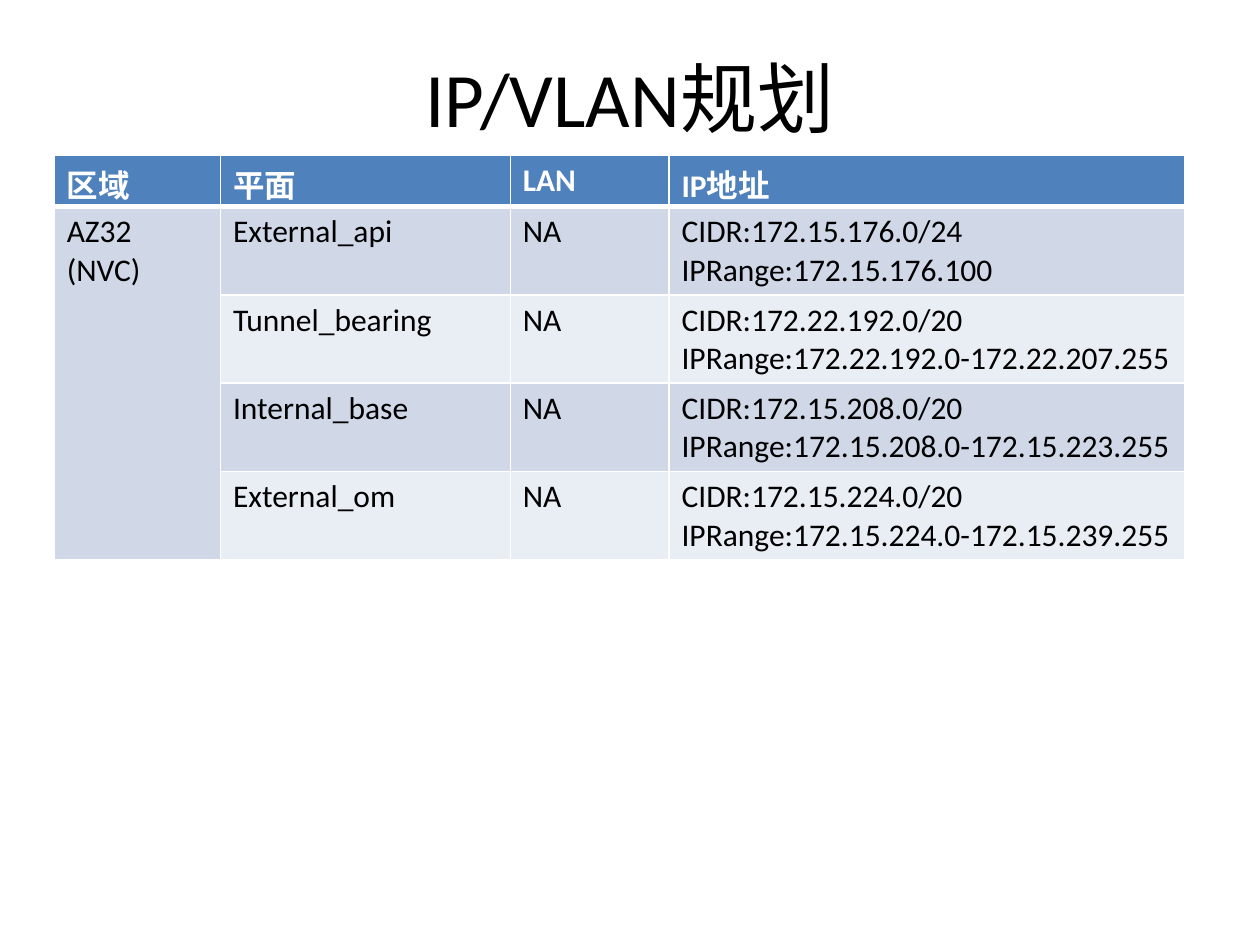
from dataclasses import dataclass

import pptx
import pptx.enum.text
import pptx.oxml
import pptx.oxml.ns
import pptx.slide
import pptx.table
import pptx.text.text
import pptx.util
from pptx.dml.color import RGBColor
from pptx.util import Inches

BLACK = RGBColor(0x00, 0x00, 0x00)
WHITE = RGBColor(0xFF, 0xFF, 0xFF)
HEADER_BLUE = RGBColor(0x4F, 0x81, 0xBD)
BANDS = (RGBColor(0xD0, 0xD8, 0xE8), RGBColor(0xE9, 0xED, 0xF4))
FONT = "Calibri"

HEADINGS = ("区域", "平面", "LAN", "IP地址")
REGION = "AZ32\n(NVC)"
COLUMN_WIDTHS = (1.32, 2.3, 1.26, 4.09)
HEADER_HEIGHT, PLANE_HEIGHT = 0.41, 0.7


@dataclass(frozen=True)
class Plane:
    name: str
    cidr: str
    ip_range: str
    lan: str = "NA"

    def cells(self) -> tuple[str, str, str]:
        return self.name, self.lan, f"CIDR:{self.cidr}\nIPRange:{self.ip_range}"


PLANES = (
    Plane("External_api", "172.15.176.0/24", "172.15.176.100"),
    Plane("Tunnel_bearing", "172.22.192.0/20", "172.22.192.0-172.22.207.255"),
    Plane("Internal_base", "172.15.208.0/20", "172.15.208.0-172.15.223.255"),
    Plane("External_om", "172.15.224.0/20", "172.15.224.0-172.15.239.255"),
)


def write(frame: pptx.text.text.TextFrame, text: str, *, size: float = 18,
          color: RGBColor = BLACK, bold: bool = False,
          align: pptx.enum.text.PP_ALIGN = pptx.enum.text.PP_ALIGN.LEFT) -> None:
    frame.text = text
    frame.word_wrap = True
    for paragraph in frame.paragraphs:
        paragraph.alignment = align
        for run in paragraph.runs:
            run.font.name = FONT
            run.font.size = pptx.util.Pt(size)
            run.font.bold = bold
            run.font.color.rgb = color


def set_borders(cell: pptx.table._Cell, **widths: float) -> None:
    """Draw white borders; keys are sides (L, R, T, B), values are points."""
    properties = cell._tc.get_or_add_tcPr()
    for position, (side, width) in enumerate(widths.items()):
        properties.insert(position, pptx.oxml.parse_xml(
            f'<a:ln{side} {pptx.oxml.ns.nsdecls("a")} w="{pptx.util.Pt(width)}">'
            f'<a:solidFill><a:srgbClr val="{WHITE}"/></a:solidFill></a:ln{side}>'))


def fill_cell(cell: pptx.table._Cell, text: str, fill: RGBColor,
              top: float = 1, bottom: float = 1, **text_format) -> None:
    cell.fill.solid()
    cell.fill.fore_color.rgb = fill
    set_borders(cell, L=1, R=1, T=top, B=bottom)
    write(cell.text_frame, text, **text_format)


def add_plan(slide: pptx.slide.Slide) -> None:
    heights = (HEADER_HEIGHT, *[PLANE_HEIGHT] * len(PLANES))
    plan = slide.shapes.add_table(
        len(heights), len(HEADINGS), Inches(0.43), Inches(1.23),
        Inches(sum(COLUMN_WIDTHS)), Inches(sum(heights))).table
    for column, width in zip(plan.columns, COLUMN_WIDTHS):
        column.width = Inches(width)
    for row, height in zip(plan.rows, heights):
        row.height = Inches(height)

    for column, heading in enumerate(HEADINGS):
        fill_cell(plan.cell(0, column), heading, HEADER_BLUE, bottom=3,
                  color=WHITE, bold=True)
    for row, plane in enumerate(PLANES, start=1):
        band = BANDS[(row - 1) % len(BANDS)]
        for column, text in enumerate(plane.cells(), start=1):
            fill_cell(plan.cell(row, column), text, band, top=3 if row == 1 else 1)
    region = plan.cell(1, 0)
    region.merge(plan.cell(len(PLANES), 0))
    fill_cell(region, REGION, BANDS[0], top=3)


def main() -> None:
    deck = pptx.Presentation()
    deck.slide_width, deck.slide_height = Inches(10), Inches(7.5)
    slide = deck.slides.add_slide(deck.slide_layouts[6])
    title = slide.shapes.add_textbox(Inches(0.5), Inches(0.3), Inches(9), Inches(0.93))
    title.text_frame.vertical_anchor = pptx.enum.text.MSO_ANCHOR.MIDDLE
    write(title.text_frame, "IP/VLAN规划", size=44,
          align=pptx.enum.text.PP_ALIGN.CENTER)
    add_plan(slide)
    deck.save("out.pptx")


if __name__ == "__main__":
    main()
